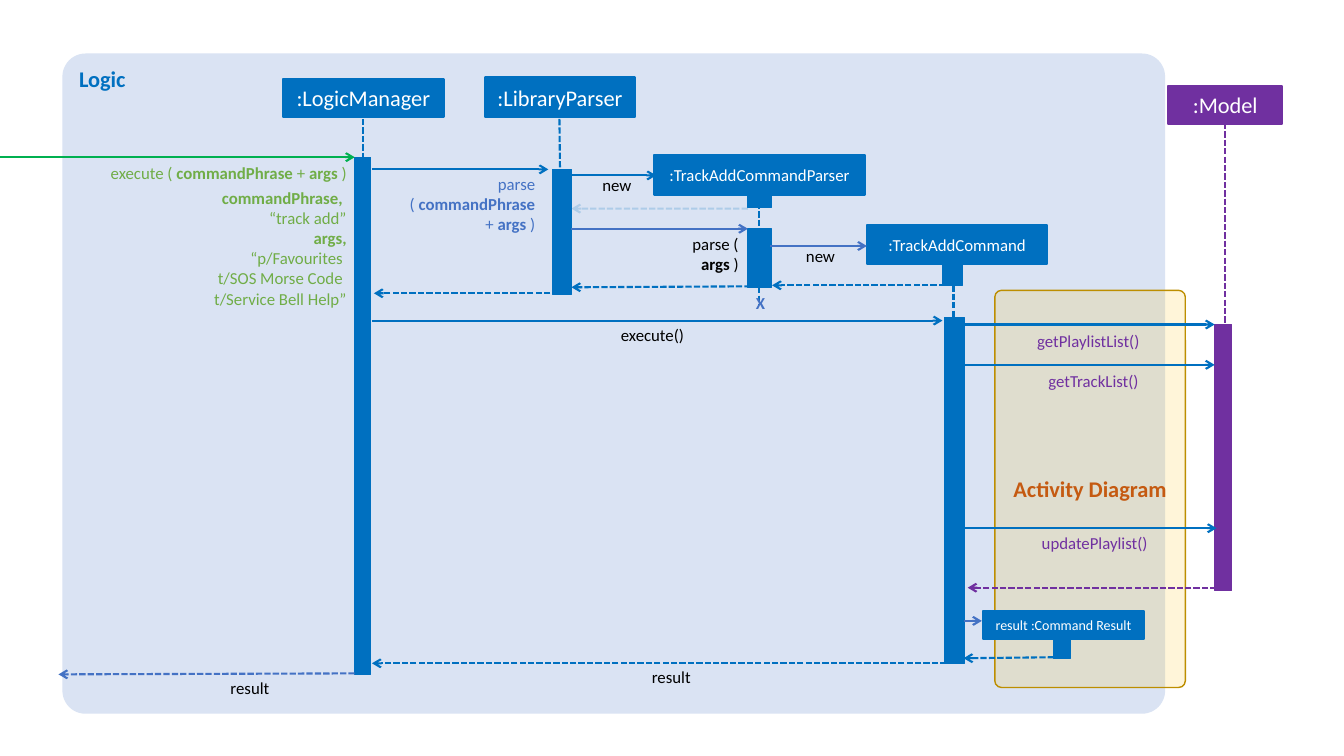
from lxml.etree import SubElement
from pptx import Presentation
from pptx.dml.color import RGBColor
from pptx.enum.dml import MSO_LINE
from pptx.enum.shapes import MSO_CONNECTOR, MSO_SHAPE
from pptx.enum.text import MSO_ANCHOR, MSO_AUTO_SIZE, PP_ALIGN
from pptx.oxml.ns import qn
from pptx.util import Pt

BLUE, INDIGO, PURPLE = "0070C0", "4472C4", "7030A0"
GREEN, LIME, BLACK, WHITE = "00B050", "70AD47", "000000", "FFFFFF"
LEFT, CENTER, RIGHT = PP_ALIGN.LEFT, PP_ALIGN.CENTER, PP_ALIGN.RIGHT


def paint(color_format, color):
    color_format.rgb = RGBColor.from_string(color)


def set_alpha(properties, percent):
    color = next(properties.iter(qn("a:srgbClr")))
    SubElement(color, qn("a:alpha")).set("val", str(percent * 1000))


def write(shape, lines, size, color, align, bold=False):
    """Fill a shape with lines; parts between asterisks are bold."""
    frame = shape.text_frame
    for index, line in enumerate(lines):
        para = frame.add_paragraph() if index else frame.paragraphs[0]
        para.alignment = align
        for position, part in enumerate(line.split("*")):
            if part:
                span = para.add_run()
                span.text = part
                span.font.name = "Calibri"
                span.font.size = Pt(size)
                span.font.bold = bold or position % 2 == 1
                paint(span.font.color, color)


def add_block(slide, kind, x, y, width, height, fill, line=None, weight=0.5):
    shape = slide.shapes.add_shape(kind, Pt(x), Pt(y), Pt(width), Pt(height))
    shape.shadow.inherit = False
    shape.fill.solid()
    paint(shape.fill.fore_color, fill)
    if line:
        paint(shape.line.color, line)
        shape.line.width = Pt(weight)
    else:
        shape.line.fill.background()
    return shape


def add_panel(slide, x, y, width, height, fill, line=None):
    panel = add_block(slide, MSO_SHAPE.ROUNDED_RECTANGLE, x, y, width, height, fill, line, 1)
    panel.adjustments[0] = 0.035
    return panel


def add_participant(slide, text, x, y, width, height, size, color=BLUE):
    box = add_block(slide, MSO_SHAPE.RECTANGLE, x, y, width, height, color, color, 1.5)
    box.text_frame.word_wrap = True
    box.text_frame.vertical_anchor = MSO_ANCHOR.MIDDLE
    write(box, [text], size, WHITE, CENTER)


def add_activation(slide, x, y, width, height, color=BLUE):
    add_block(slide, MSO_SHAPE.RECTANGLE, x, y, width, height, color, color)


def add_line(slide, x1, y1, x2, y2, color=BLUE, dashed=False, arrow=False):
    line = slide.shapes.add_connector(MSO_CONNECTOR.STRAIGHT, Pt(x1), Pt(y1), Pt(x2), Pt(y2))
    paint(line.line.color, color)
    line.line.width = Pt(1.5)
    if dashed:
        line.line.dash_style = MSO_LINE.SQUARE_DOT
    properties = line.element.spPr
    if arrow:
        SubElement(properties.find(qn("a:ln")), qn("a:tailEnd")).set("type", "arrow")
    SubElement(properties, qn("a:effectLst"))
    return line


def add_label(slide, lines, x, y, width, height, color=BLACK, align=CENTER):
    box = slide.shapes.add_textbox(Pt(x), Pt(y), Pt(width), Pt(height))
    frame = box.text_frame
    frame.word_wrap = True
    frame.auto_size = MSO_AUTO_SIZE.SHAPE_TO_FIT_TEXT
    frame.margin_left = frame.margin_top = frame.margin_right = frame.margin_bottom = 0
    write(box, lines, 12, color, align)


def add_destroy_mark(slide, x, y, width, height):
    box = slide.shapes.add_textbox(Pt(x), Pt(y), Pt(width), Pt(height))
    box.text_frame.word_wrap = False
    box.text_frame.auto_size = MSO_AUTO_SIZE.SHAPE_TO_FIT_TEXT
    write(box, ["X"], 12, INDIGO, LEFT, bold=True)


def main():
    deck = Presentation()
    deck.slide_width, deck.slide_height = Pt(960), Pt(540)
    slide = deck.slides.add_slide(deck.slide_layouts[6])

    # Panels
    logic = add_panel(slide, 44.6, 38.2, 787.7, 471.6, "DAE3F3")
    logic.text_frame.vertical_anchor = MSO_ANCHOR.TOP
    write(logic, ["Logic"], 16, BLUE, LEFT, bold=True)
    activity = add_panel(slide, 710.6, 207.4, 136.1, 283.7, "FFC000", "BD8E00")
    set_alpha(activity.element.spPr, 15)
    activity.text_frame.vertical_anchor = MSO_ANCHOR.MIDDLE
    write(activity, ["Activity Diagram"], 16, "C55A11", CENTER, bold=True)

    # Lifelines
    for x1, y1, x2, y2, color in [
        (259.2, 85, 259.2, 289.4, BLUE),
        (399.6, 85, 401, 210.2, BLUE),
        (542.2, 139, 542.2, 217.4, BLUE),
        (681.1, 203.8, 681.1, 226.1, BLUE),
        (874.8, 87.8, 874.8, 311, PURPLE),
    ]:
        add_line(slide, x1, y1, x2, y2, color, dashed=True)

    # Participants
    add_participant(slide, ":LogicManager", 202.3, 56.2, 114.5, 27.4, 16)
    add_participant(slide, ":LibraryParser", 346.3, 55.4, 107.3, 28.1, 16)
    add_participant(slide, ":Model", 834.5, 61.2, 81.4, 27.4, 16, PURPLE)
    add_participant(slide, ":TrackAddCommandParser", 467.3, 110.9, 150.5, 28.1, 12)
    add_participant(slide, ":TrackAddCommand", 619.2, 160.6, 128.9, 28.1, 12)
    add_participant(slide, "result :Command Result", 702, 436.3, 115.2, 20.2, 10)

    # Activation bars
    for bar in [
        (253.4, 112.3, 11.5, 369.4),
        (394.6, 121, 13.7, 89.3),
        (534.2, 139, 16.6, 9.4),
        (534.2, 163.4, 16.6, 41.8),
        (673.2, 186.5, 14.4, 17.3),
        (674.6, 226.8, 14.4, 247),
        (752.4, 456.5, 12.2, 13.7),
        (867.6, 231.8, 12.2, 190.1, PURPLE),
    ]:
        add_activation(slide, *bar)

    # Calls
    for start, end, y, color in [
        (0, 253.4, 112.3, GREEN),
        (265.7, 391.7, 121, BLUE),
        (404.6, 468.7, 125.3, BLUE),
        (408.2, 534.2, 163.4, INDIGO),
        (550.1, 619.2, 175.7, INDIGO),
        (265.7, 673.2, 229, BLUE),
        (682.6, 867.6, 231.8, BLUE),
        (684, 867.6, 260.6, BLUE),
        (685.4, 869, 377.3, BLUE),
        (688.3, 701.3, 443.5, INDIGO),
    ]:
        add_line(slide, start, y, end, y, color, arrow=True)

    # Returns
    for x1, y1, x2, y2, color in [
        (681.1, 203.8, 551.5, 203.8, BLUE),
        (542.2, 204.5, 408.2, 205.2, BLUE),
        (393.1, 209.5, 267.1, 209.5, BLUE),
        (869, 419.8, 691.2, 419.8, PURPLE),
        (758.9, 469.4, 688.3, 470.2, BLUE),
        (676.1, 473.8, 265.7, 473.8, BLUE),
        (253.4, 481, 41.8, 481.7, INDIGO),
    ]:
        add_line(slide, x1, y1, x2, y2, color, dashed=True, arrow=True)
    faded = add_line(slide, 534.2, 149, 408.2, 149, dashed=True, arrow=True)
    set_alpha(faded.element.spPr, 20)

    # Labels
    add_label(slide, ["execute ( *commandPhrase* + *args *)"], 44.6, 116.6, 203, 14.4, LIME, RIGHT)
    arguments = ["*commandPhrase, *", "“track add”", "*args,*", "“p/Favourites ",
                 "t/SOS Morse Code ", "t/Service Bell Help”"]
    add_label(slide, arguments, 15.8, 133.9, 231.8, 87.1, LIME, RIGHT)
    add_label(slide, ["parse ( *commandPhrase *+* args *)"], 288.7, 123.8, 93.6, 43.9, INDIGO, RIGHT)
    add_label(slide, ["parse (", "*args* )"], 453.6, 167, 74, 28.8, align=RIGHT)
    add_label(slide, ["new"], 424.8, 124.6, 26.3, 14.4, align=RIGHT)
    add_label(slide, ["new"], 570.2, 175.7, 26.3, 14.4, align=RIGHT)
    add_label(slide, ["execute()"], 443.5, 231.8, 50, 14.4, align=LEFT)
    add_label(slide, ["getPlaylistList()"], 740.9, 236.2, 90.7, 14.4, PURPLE, LEFT)
    add_label(slide, ["getTrackList()"], 735.8, 265, 90.7, 14.4, PURPLE)
    add_label(slide, ["updatePlaylist()"], 736.6, 380.2, 90.7, 14.4, PURPLE)
    add_label(slide, ["result"], 404.6, 476.6, 149.8, 14.4)
    add_label(slide, ["result"], 105.1, 483.8, 146.9, 14.4)
    add_destroy_mark(slide, 532.8, 205.9, 20.9, 21.6)

    deck.save("out.pptx")


if __name__ == "__main__":
    main()
